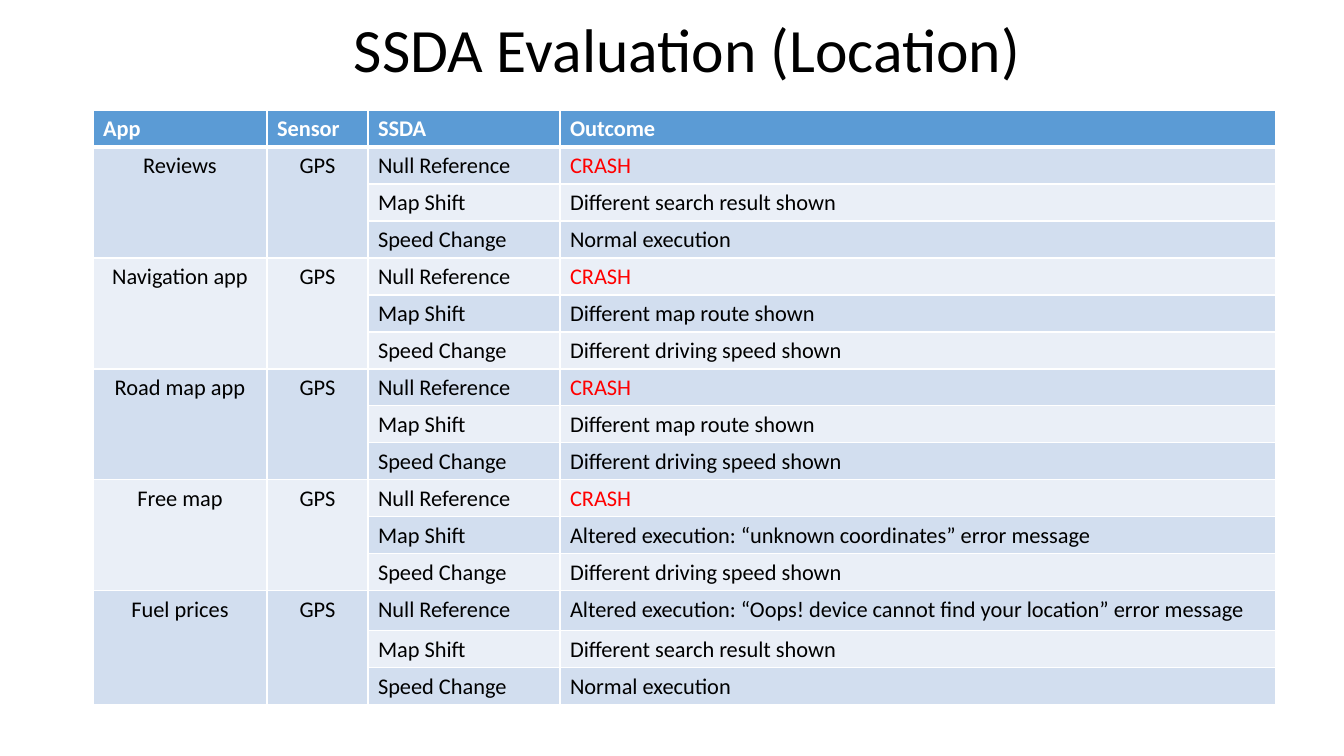
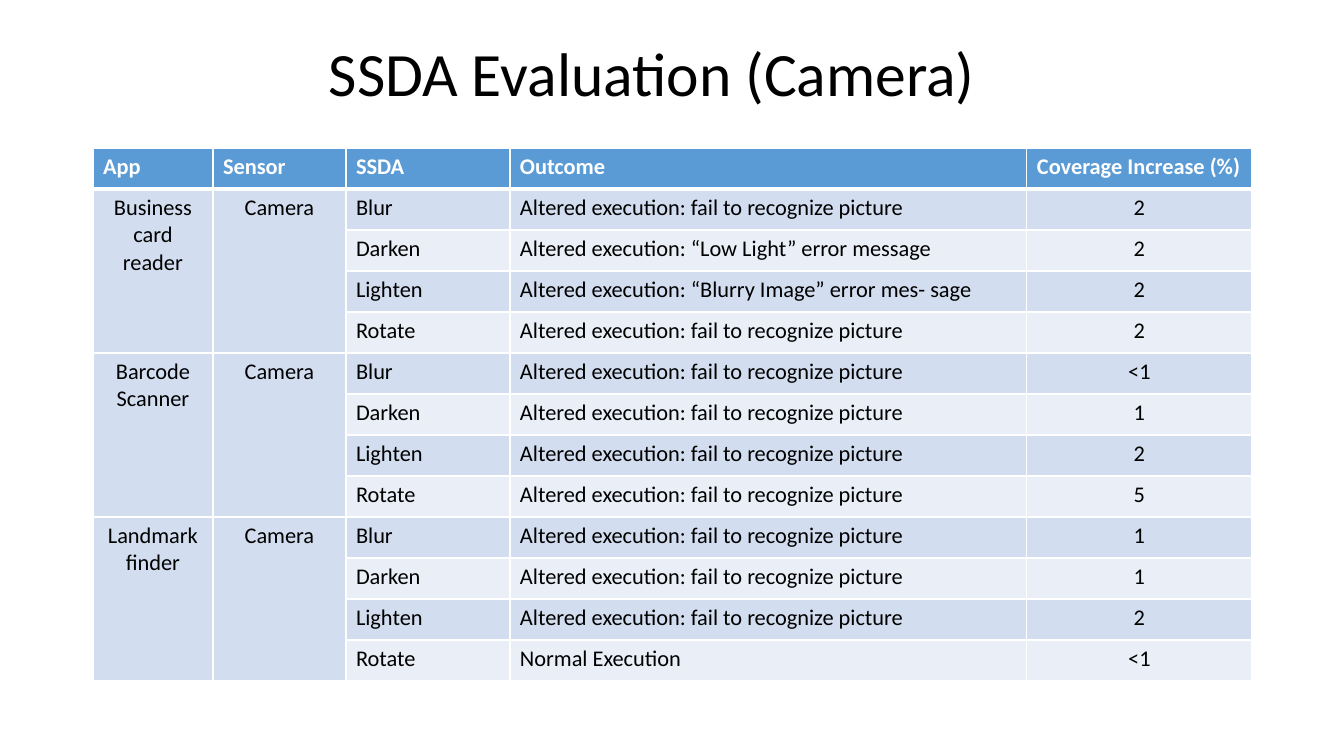
from lxml import etree
from pptx import Presentation
from pptx.dml.color import RGBColor
from pptx.enum.text import MSO_ANCHOR, PP_ALIGN
from pptx.oxml.ns import qn
from pptx.util import Pt

SCALE = 12192000 / 1344
FONT = "Calibri"
BLACK = RGBColor(0x00, 0x00, 0x00)
WHITE = RGBColor(0xFF, 0xFF, 0xFF)
RED = RGBColor(0xFF, 0x00, 0x00)
HEADER_BLUE = RGBColor(0x5B, 0x9B, 0xD5)
BANDS = (RGBColor(0xD2, 0xDE, 0xEF), RGBColor(0xEA, 0xEF, 0xF7))
TITLE_FORMAT = {"name": FONT, "size": Pt(44)}
CELL_FORMAT = {"name": FONT, "size": Pt(16)}
TABLE_LEFT = 93
TITLE_HEIGHT = 79

CRASH = "CRASH"
NORMAL = "Normal execution"
SEARCH = "Different search result shown"
ROUTE = "Different map route shown"
SPEED = "Different driving speed shown"
FAIL = "Altered execution: fail to recognize picture"

SLIDES = [
    {
        "title": "SSDA Evaluation (Location)",
        "title_at": (344, 13, 907),
        "table_top": 110,
        "columns": [("App", 174), ("Sensor", 101), ("SSDA", 192), ("Outcome", 716)],
        "row_height": 37,
        "tall_rows": {13: 40},
        "sensor": "GPS",
        "attacks": ["Null Reference", "Map Shift", "Speed Change"],
        "apps": [
            ("Reviews", [(CRASH,), (SEARCH,), (NORMAL,)]),
            ("Navigation app", [(CRASH,), (ROUTE,), (SPEED,)]),
            ("Road map app", [(CRASH,), (ROUTE,), (SPEED,)]),
            ("Free map", [
                (CRASH,),
                ("Altered execution: “unknown coordinates” error message",),
                (SPEED,),
            ]),
            ("Fuel prices", [
                ("Altered execution: “Oops! device cannot find your location” error message",),
                (SEARCH,),
                (NORMAL,),
            ]),
        ],
    },
    {
        "title": "SSDA Evaluation (Camera)",
        "title_at": (319, 37, 706),
        "table_top": 148,
        "columns": [("App", 120), ("Sensor", 133), ("SSDA", 164), ("Outcome", 517),
                    ("Coverage Increase (%)", 225)],
        "row_height": 41,
        "tall_rows": {},
        "sensor": "Camera",
        "attacks": ["Blur", "Darken", "Lighten", "Rotate"],
        "apps": [
            ("Business card reader", [
                (FAIL, "2"),
                ("Altered execution: “Low Light” error message", "2"),
                ("Altered execution: “Blurry Image” error mes- sage", "2"),
                (FAIL, "2"),
            ]),
            ("Barcode Scanner", [(FAIL, "<1"), (FAIL, "1"), (FAIL, "2"), (FAIL, "5")]),
            ("Landmark finder", [(FAIL, "1"), (FAIL, "1"), (FAIL, "2"),
                                 ("Normal Execution", "<1")]),
        ],
    },
]


def px(length):
    return round(length * SCALE)


def write(frame, text, font_format, color, align=PP_ALIGN.LEFT, bold=False):
    para = frame.paragraphs[0]
    para.alignment = align
    span = para.add_run()
    span.text = text
    for name, value in font_format.items():
        setattr(span.font, name, value)
    span.font.bold = bold
    span.font.color.rgb = color
    return para


def add_title(page, text, left, top, width):
    box = page.shapes.add_textbox(px(left), px(top), px(width), px(TITLE_HEIGHT))
    frame = box.text_frame
    frame.word_wrap = True
    frame.vertical_anchor = MSO_ANCHOR.MIDDLE
    write(frame, text, TITLE_FORMAT, BLACK).line_spacing = 0.9


def set_borders(cell, top, bottom):
    properties = cell._tc.get_or_add_tcPr()
    sides = {"a:lnL": 1, "a:lnR": 1, "a:lnT": top, "a:lnB": bottom}
    for position, (side, width) in enumerate(sides.items()):
        line = etree.Element(qn(side), w=str(Pt(width)))
        fill = etree.SubElement(line, qn("a:solidFill"))
        etree.SubElement(fill, qn("a:srgbClr"), val=str(WHITE))
        properties.insert(position, line)


def table_rows(content):
    rows = [[name for name, _ in content["columns"]]]
    for app, outcomes in content["apps"]:
        for index, (attack, outcome) in enumerate(zip(content["attacks"], outcomes)):
            first = [app, content["sensor"]] if index == 0 else ["", ""]
            rows.append([*first, attack, *outcome])
    return rows


def add_evaluation_table(page, content):
    rows = table_rows(content)
    widths = [px(width) for _, width in content["columns"]]
    heights = [px(content["tall_rows"].get(index, content["row_height"]))
               for index in range(len(rows))]
    table = page.shapes.add_table(len(rows), len(widths), px(TABLE_LEFT),
                                  px(content["table_top"]), sum(widths), sum(heights)).table
    for column, width in zip(table.columns, widths):
        column.width = width
    for row, height in zip(table.rows, heights):
        row.height = height

    for row_index, row in enumerate(rows):
        header = row_index == 0
        for column_index, text in enumerate(row):
            cell = table.cell(row_index, column_index)
            cell.fill.solid()
            cell.fill.fore_color.rgb = HEADER_BLUE if header else BANDS[(row_index - 1) % 2]
            set_borders(cell, 3 if row_index == 1 else 1, 3 if header else 1)
            centred = not header and column_index in (0, 1, 4)
            color = WHITE if header else RED if text == CRASH else BLACK
            if text:
                write(cell.text_frame, text, CELL_FORMAT, color,
                      PP_ALIGN.CENTER if centred else PP_ALIGN.LEFT, header)

    group = len(content["attacks"])
    for start in range(1, len(rows), group):
        for column_index in (0, 1):
            table.cell(start, column_index).merge(table.cell(start + group - 1, column_index))


def main():
    deck = Presentation()
    deck.slide_width, deck.slide_height = px(1344), px(756)
    for content in SLIDES:
        page = deck.slides.add_slide(deck.slide_layouts[6])
        add_title(page, content["title"], *content["title_at"])
        add_evaluation_table(page, content)
    deck.save("out.pptx")


if __name__ == "__main__":
    main()
